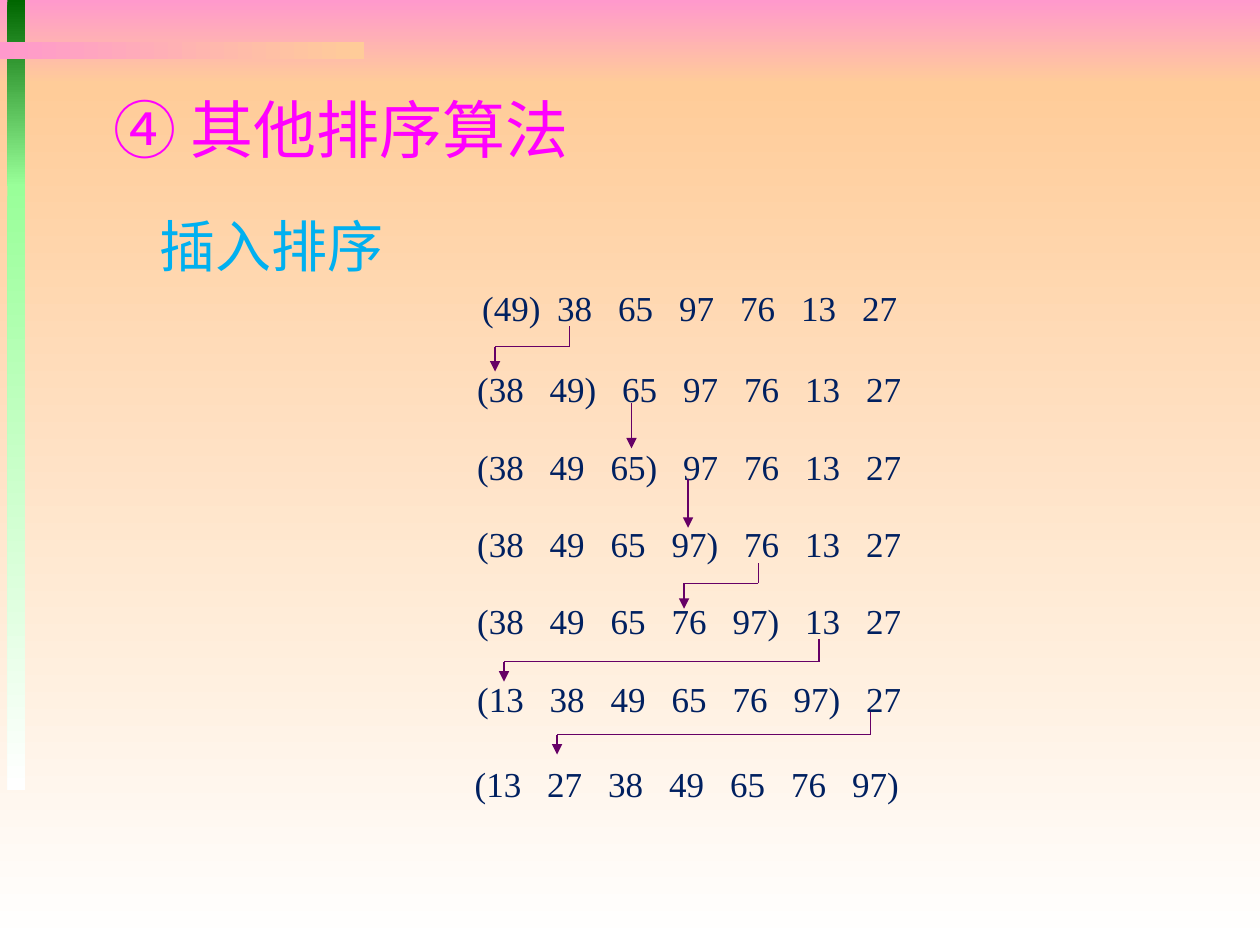
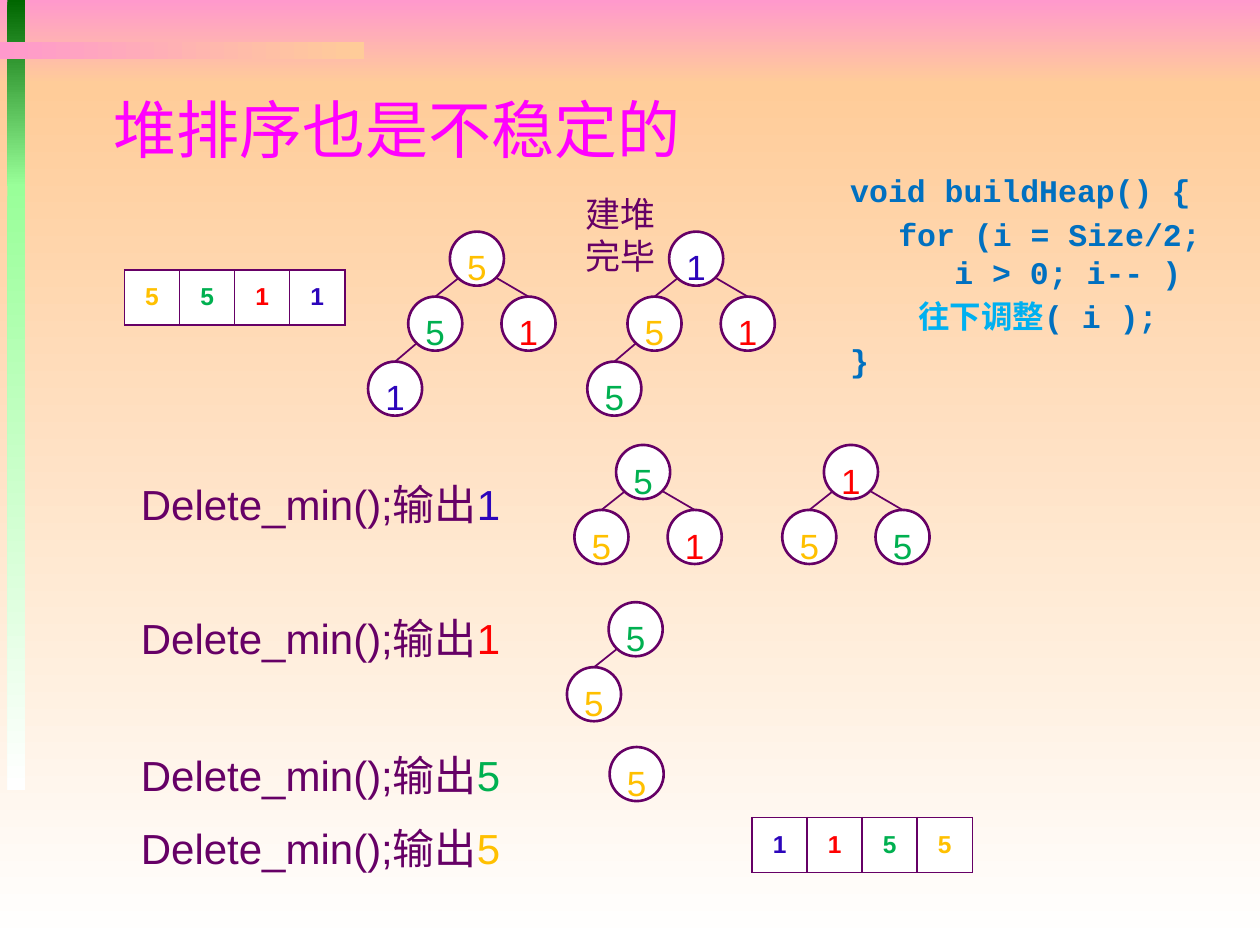
from dataclasses import dataclass
from typing import NamedTuple, Sequence

import lxml.etree
import pptx
import pptx.dml.color
import pptx.enum.shapes
import pptx.enum.text
import pptx.oxml.ns
import pptx.util

Cm = pptx.util.Cm
Pt = pptx.util.Pt
qn = pptx.oxml.ns.qn


class Style(NamedTuple):
    size: float
    color: str
    font: str = "Arial"
    bold: bool = False


@dataclass(frozen=True)
class Theme:
    cjk: str = "Noto Sans CJK SC"
    purple: str = "660066"
    white: str = "FFFFFF"
    pink: str = "FF99CC"
    peach: str = "FFCC99"
    dark_green: str = "006600"
    light_green: str = "99FF99"
    gold: str = "FFC000"
    green: str = "00B050"
    red: str = "FF0000"
    blue: str = "2C05BB"
    title: Style = Style(36, "FF00FF", "Noto Sans CJK SC")
    subtitle: Style = Style(32, "00B0F0")
    trace: Style = Style(20, "002060", "Times New Roman")
    code: Style = Style(18, "0070C0", "Courier New", True)
    code_call: Style = Style(18, "00B0F0", "Courier New", True)
    step: Style = Style(24, "660066")
    note: Style = Style(20, "660066")
    node: Style = Style(20, "000000")
    cell: Style = Style(14, "000000", bold=True)
    arrow_width: float = 0.75
    edge_width: float = 1
    node_width: float = 1.5


THEME = Theme()


class Band(NamedTuple):
    left: float
    top: float
    width: float
    height: float
    start: str
    end: str
    angle: int = 270


class Record(NamedTuple):
    key: str
    color: str


class Heap(NamedTuple):
    left: float
    top: float
    records: Sequence[Record]


class Move(NamedTuple):
    """Path of a key from its old place down to its new one."""
    source: float
    target: float
    top: float
    bend: float
    bottom: float


class Deletion(NamedTuple):
    top: float
    output: Record


class CodeLine(NamedTuple):
    text: str
    indent: float = 0
    space_before: float = 3.6
    call: str = ""


BANDS = (
    Band(0, 0, 25.4, 1.7, THEME.pink, THEME.peach),
    Band(0, 1.7, 25.4, 17.35, THEME.peach, THEME.white),
    Band(0.15, 0, 0.36, 3.76, THEME.dark_green, THEME.light_green),
    Band(0.15, 3.71, 0.36, 12.22, THEME.light_green, THEME.white),
    Band(0, 0.84, 7.34, 0.36, THEME.pink, THEME.peach, 0),
)

KEYS = (49, 38, 65, 97, 76, 13, 27)
KEY_PITCH = 1.23
PAREN_WIDTH = 0.23
MOVES = (
    Move(11.48, 9.98, 6.58, 6.99, 7.49),
    Move(12.73, 12.73, 8.13, 8.13, 9.04),
    Move(13.87, 13.87, 9.65, 9.65, 10.64),
    Move(15.29, 13.79, 11.35, 11.76, 12.27),
    Move(16.51, 10.16, 12.88, 13.34, 13.74),
    Move(17.55, 11.23, 14.35, 14.81, 15.21),
)

FIRST_5 = Record("5", THEME.gold)
SECOND_5 = Record("5", THEME.green)
FIRST_1 = Record("1", THEME.red)
SECOND_1 = Record("1", THEME.blue)

NODE_SIZE = 1.09
NODE_OFFSETS = ((0, 0), (-0.84, 1.31), (1.04, 1.31), (-1.65, 2.62))
HEAPS = (
    Heap(9.07, 4.67, (FIRST_5, SECOND_5, FIRST_1, SECOND_1)),
    Heap(13.49, 4.67, (SECOND_1, FIRST_5, FIRST_1, SECOND_5)),
    Heap(12.42, 8.97, (SECOND_5, FIRST_5, FIRST_1)),
    Heap(16.61, 8.97, (FIRST_1, FIRST_5, SECOND_5)),
    Heap(12.27, 12.14, (SECOND_5, FIRST_5)),
    Heap(12.29, 15.06, (FIRST_5,)),
)
DELETIONS = (
    Deletion(9.53, SECOND_1),
    Deletion(12.22, FIRST_1),
    Deletion(14.99, SECOND_5),
    Deletion(16.46, FIRST_5),
)
CODE = (
    CodeLine("void buildHeap() {"),
    CodeLine("for (i = Size/2;", 0.97),
    CodeLine("i > 0; i-- )", 2.1, 0),
    CodeLine("( i );", 1.37, call="往下调整"),
    CodeLine("}"),
)


def rgb(color: str) -> pptx.dml.color.RGBColor:
    return pptx.dml.color.RGBColor.from_string(color)


def format_run(run, style: Style) -> None:
    run.font.size = Pt(style.size)
    run.font.bold = style.bold
    run.font.name = style.font
    run.font.color.rgb = rgb(style.color)
    lxml.etree.SubElement(run._r.get_or_add_rPr(), qn("a:ea"), typeface=THEME.cjk)


def write(paragraph, text: str, style: Style) -> None:
    paragraph.text = text
    for run in paragraph.runs:
        format_run(run, style)


def append(paragraph, text: str, style: Style) -> None:
    run = paragraph.add_run()
    run.text = text
    format_run(run, style)


def add_box(slide, left: float, top: float, width: float, height: float):
    frame = slide.shapes.add_textbox(Cm(left), Cm(top), Cm(width), Cm(height)).text_frame
    frame.word_wrap = True
    return frame


def add_line(slide, start: tuple, end: tuple, width: float, arrow: bool = False) -> None:
    line = slide.shapes.add_connector(
        pptx.enum.shapes.MSO_CONNECTOR.STRAIGHT, *(Cm(value) for value in (*start, *end)))
    line.line.color.rgb = rgb(THEME.purple)
    line.line.width = Pt(width)
    properties = line.element.spPr
    if arrow:
        lxml.etree.SubElement(properties.find(qn("a:ln")), qn("a:tailEnd"), type="triangle")
    lxml.etree.SubElement(properties, qn("a:effectLst"))


def add_bands(slide) -> None:
    """Put the bands on the layout of the slide, behind its placeholders."""
    for position, band in enumerate(BANDS, start=2):
        strip = slide.shapes.add_shape(
            pptx.enum.shapes.MSO_SHAPE.RECTANGLE, *(Cm(value) for value in band[:4]))
        strip.shadow.inherit = False
        strip.line.fill.background()
        strip.fill.gradient()
        strip.fill.gradient_angle = band.angle
        for stop, color in zip(strip.fill.gradient_stops, (band.start, band.end)):
            stop.color.rgb = rgb(color)
        slide.slide_layout.shapes.element.insert(position, strip.element)


def add_titled_slide(deck, text: str):
    slide = deck.slides.add_slide(deck.slide_layouts.get_by_name("Title Only"))
    title = slide.shapes.title
    title.left, title.top, title.width, title.height = Cm(2.03), Cm(1.45), Cm(21.6), Cm(2.29)
    title.text_frame.vertical_anchor = pptx.enum.text.MSO_ANCHOR.MIDDLE
    heading = title.text_frame.paragraphs[0]
    write(heading, text, THEME.title)
    heading.alignment = pptx.enum.text.PP_ALIGN.LEFT
    return slide


def add_trace_row(slide, left: float, top: float, done: int, gap: float) -> None:
    """Show the keys after the first `done` are sorted; the rest move right by `gap`."""
    keys = [str(key) for key in (*sorted(KEYS[:done]), *KEYS[done:])]
    keys[0] = "(" + keys[0]
    keys[done - 1] += ")"
    row = add_box(slide, left, top, 9.6, 1.11).paragraphs[0]
    write(row, "\t".join(keys), THEME.trace)
    stops = lxml.etree.SubElement(row._p.get_or_add_pPr(), qn("a:tabLst"))
    for index in range(1, len(keys)):
        position = PAREN_WIDTH + KEY_PITCH * index + (gap if index >= done else 0)
        lxml.etree.SubElement(stops, qn("a:tab"), pos=str(int(Cm(position))), algn="l")


def add_move(slide, move: Move) -> None:
    corner, turn = (move.source, move.bend), (move.target, move.bend)
    if move.source != move.target:
        add_line(slide, (move.source, move.top), corner, THEME.arrow_width)
        add_line(slide, corner, turn, THEME.arrow_width)
    add_line(slide, turn, (move.target, move.bottom), THEME.arrow_width, arrow=True)


def add_heap(slide, heap: Heap) -> None:
    places = [(heap.left + dx, heap.top + dy) for dx, dy in NODE_OFFSETS]
    for (left, top), record in zip(places, heap.records):
        node = slide.shapes.add_shape(
            pptx.enum.shapes.MSO_SHAPE.OVAL, Cm(left), Cm(top), Cm(NODE_SIZE), Cm(NODE_SIZE))
        node.shadow.inherit = False
        node.fill.solid()
        node.fill.fore_color.rgb = rgb(THEME.white)
        node.line.color.rgb = rgb(THEME.purple)
        node.line.width = Pt(THEME.node_width)
        node.text_frame.word_wrap = False
        node.text_frame.vertical_anchor = pptx.enum.text.MSO_ANCHOR.TOP
        key = node.text_frame.paragraphs[0]
        key.alignment = pptx.enum.text.PP_ALIGN.CENTER
        write(key, record.key, THEME.node._replace(color=record.color))
    for child in range(1, len(heap.records)):
        parent_left, parent_top = places[(child - 1) // 2]
        left, top = places[child]
        exit_x = 0.17 if child % 2 else 0.95
        add_line(slide, (parent_left + exit_x, parent_top + 0.94),
                 (left + NODE_SIZE / 2, top), THEME.edge_width)


def add_array(slide, left: float, top: float, records: Sequence[Record]) -> None:
    side = Cm(1.11)
    array = slide.shapes.add_table(
        1, len(records), Cm(left), Cm(top), side * len(records), side).table
    array.first_row = array.horz_banding = False
    for cell, record in zip(array.rows[0].cells, records):
        cell.margin_left = cell.margin_right = Cm(0.2)
        cell.margin_top = cell.margin_bottom = Cm(0.1)
        cell.vertical_anchor = pptx.enum.text.MSO_ANCHOR.MIDDLE
        key = cell.text_frame.paragraphs[0]
        key.alignment = pptx.enum.text.PP_ALIGN.CENTER
        write(key, record.key, THEME.cell._replace(color=record.color))
        properties = cell._tc.get_or_add_tcPr()
        for edge in ("a:lnL", "a:lnR", "a:lnT", "a:lnB"):
            border = lxml.etree.SubElement(properties, qn(edge), w=str(int(Pt(THEME.edge_width))))
            paint = lxml.etree.SubElement(border, qn("a:solidFill"))
            lxml.etree.SubElement(paint, qn("a:srgbClr"), val=THEME.purple)
        cell.fill.solid()
        cell.fill.fore_color.rgb = rgb(THEME.white)


def add_code(slide) -> None:
    listing = add_box(slide, 16.89, 3.33, 8.3, 4.88)
    for index, line in enumerate(CODE):
        paragraph = listing.add_paragraph() if index else listing.paragraphs[0]
        write(paragraph, line.call or line.text, THEME.code_call if line.call else THEME.code)
        if line.call:
            append(paragraph, line.text, THEME.code)
        paragraph.space_before = Pt(line.space_before)
        paragraph._p.get_or_add_pPr().set("marL", str(int(Cm(line.indent))))


def build_insertion_sort(slide) -> None:
    subtitle = add_box(slide, 2.97, 4.14, 19.5, 1.8)
    write(subtitle.paragraphs[0], "插入排序", THEME.subtitle)
    add_trace_row(slide, 9.47, 5.66, 1, 0.05)
    for done in range(2, len(KEYS)):
        add_trace_row(slide, 9.37, 7.29 + 1.56 * (done - 2), done, PAREN_WIDTH)
    add_trace_row(slide, 9.32, 15.24, len(KEYS), 0)
    for move in MOVES:
        add_move(slide, move)


def build_heap_sort(slide) -> None:
    add_code(slide)
    add_array(slide, 2.51, 5.44, (FIRST_5, SECOND_5, FIRST_1, SECOND_1))
    for heap in HEAPS:
        add_heap(slide, heap)
    for deletion in DELETIONS:
        step = add_box(slide, 2.59, deletion.top, 8.28, 1.27).paragraphs[0]
        write(step, "Delete_min();输出", THEME.step)
        append(step, deletion.output.key, THEME.step._replace(color=deletion.output.color))
    add_array(slide, 15.16, 16.48, [deletion.output for deletion in DELETIONS])
    write(add_box(slide, 11.56, 3.76, 1.96, 1.96).paragraphs[0], "建堆\v完毕", THEME.note)


def main() -> None:
    deck = pptx.Presentation()
    deck.slide_width, deck.slide_height = Cm(25.4), Cm(19.05)
    insertion_sort = add_titled_slide(deck, "④ 其他排序算法")
    add_bands(insertion_sort)
    build_insertion_sort(insertion_sort)
    build_heap_sort(add_titled_slide(deck, "堆排序也是不稳定的"))
    deck.save("out.pptx")


if __name__ == "__main__":
    main()
